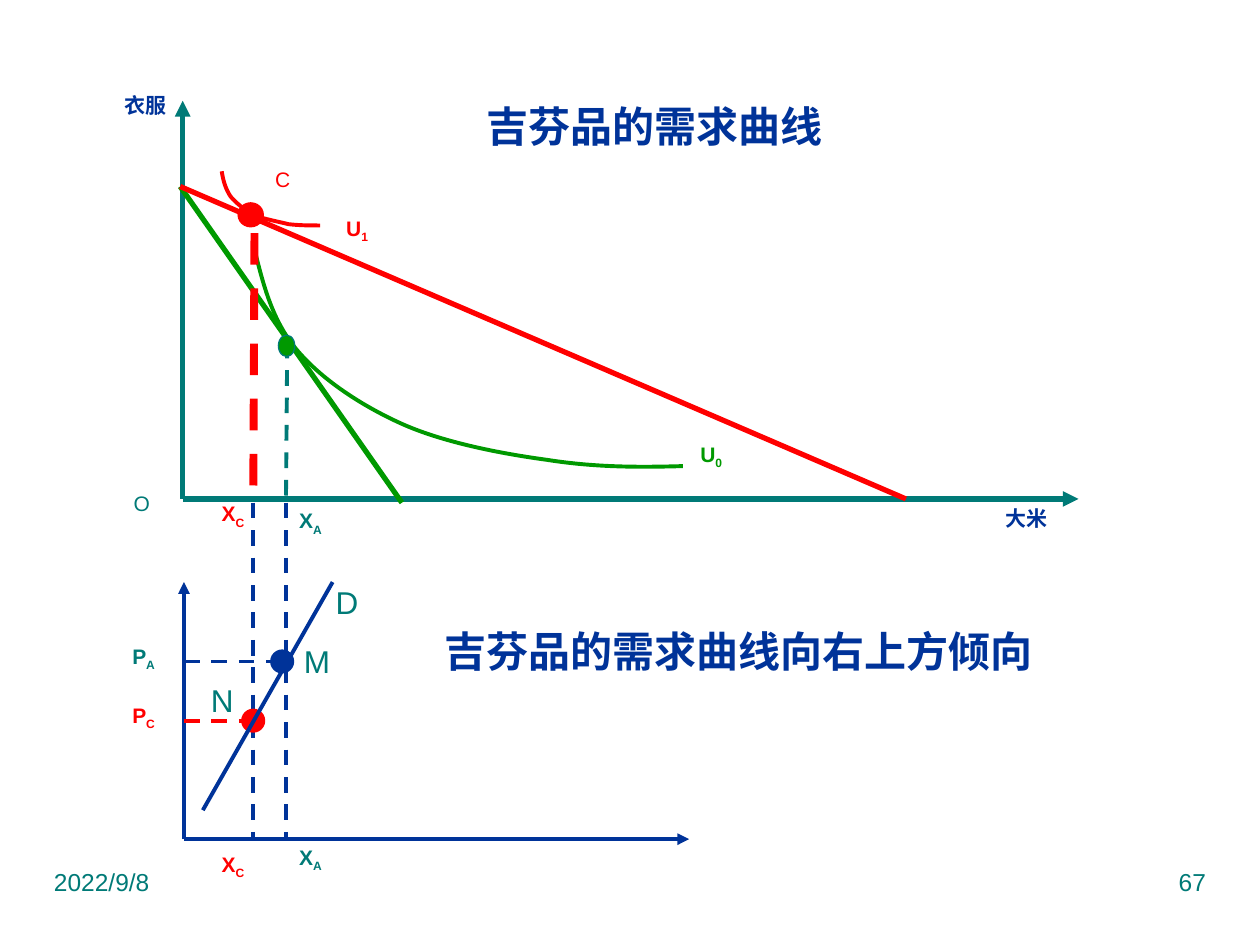
import pptx
import pptx.util
import pptx.dml.color
import pptx.enum.dml
import pptx.enum.shapes
import pptx.enum.text
import pptx.oxml
import pptx.oxml.ns
from pptx.util import Inches

RGBColor = pptx.dml.color.RGBColor
TEAL = RGBColor(0x00, 0x7A, 0x77)
NAVY = RGBColor(0x00, 0x33, 0x99)
GREEN = RGBColor(0x00, 0x99, 0x00)
RED = RGBColor(0xFF, 0x00, 0x00)
FONT = "Arial"
ALIGN = pptx.enum.text.PP_ALIGN
ANCHOR = pptx.enum.text.MSO_ANCHOR
qn = pptx.oxml.ns.qn

X_C, X_A = 2.01, 2.27
TOP_AXIS_X, TOP_AXIS_Y = 1.45, 3.96
LOW_AXIS_X, LOW_AXIS_Y = 1.46, 6.66
P_A, P_C = 5.25, 5.72


def write_text(frame, text, subscript="", size=12, color=NAVY, bold=False,
               align=ALIGN.CENTER, anchor=ANCHOR.MIDDLE, wrap=False):
    frame.word_wrap = wrap
    frame.auto_size = pptx.enum.text.MSO_AUTO_SIZE.NONE
    frame.vertical_anchor = anchor
    para = frame.paragraphs[0]
    para.alignment = align
    for part in filter(None, (text, subscript)):
        span = para.add_run()
        span.text = part
        span.font.name = FONT
        span.font.size = pptx.util.Pt(size)
        span.font.bold = bold
        span.font.color.rgb = color
    if subscript:
        span.font._element.set("baseline", "-25000")


class Diagram:
    def __init__(self, page):
        self.page = page
        self.shapes = page.shapes

    def title(self, text, left, top, width, height):
        box = self.shapes.title
        box.left, box.top, box.width, box.height = map(Inches, (left, top, width, height))
        write_text(box.text_frame, text, size=24, bold=True, wrap=True)

    def text(self, text, left, top, width=0.45, height=0.31, **style):
        box = self.shapes.add_textbox(*map(Inches, (left, top, width, height)))
        write_text(box.text_frame, text, **style)

    def line(self, start, end, color, width=2.25, dashed=False, arrow=False):
        connector = self.shapes.add_connector(
            pptx.enum.shapes.MSO_CONNECTOR.STRAIGHT, *map(Inches, (*start, *end)))
        connector.line.color.rgb = color
        connector.line.width = pptx.util.Pt(width)
        if dashed:
            connector.line.dash_style = pptx.enum.dml.MSO_LINE.DASH
        if arrow:
            outline = connector.line._get_or_add_ln()
            outline.append(pptx.oxml.parse_xml(
                f'<a:tailEnd {pptx.oxml.ns.nsdecls("a")} type="triangle"/>'))
        connector._element.spPr.append(pptx.oxml.parse_xml(
            f'<a:effectLst {pptx.oxml.ns.nsdecls("a")}/>'))

    def dot(self, left, top, width, height, fill, outline, outline_width):
        dot = self.shapes.add_shape(
            pptx.enum.shapes.MSO_SHAPE.OVAL, *map(Inches, (left, top, width, height)))
        dot.shadow.inherit = False
        dot.fill.solid()
        dot.fill.fore_color.rgb = fill
        dot.line.color.rgb = outline
        dot.line.width = pptx.util.Pt(outline_width)

    def curve(self, points, color):
        start, *controls = [tuple(map(Inches, point)) for point in points]
        builder = self.shapes.build_freeform(*start)
        builder.add_line_segments(controls, close=False)
        curve = builder.convert_to_shape()
        outline = next(curve._element.iter(qn("a:path")))
        segments = outline.findall(qn("a:lnTo"))
        for first in range(0, len(segments), 3):
            bezier = outline.makeelement(qn("a:cubicBezTo"), {})
            for segment in segments[first:first + 3]:
                bezier.append(segment[0])
                outline.remove(segment)
            outline.append(bezier)
        curve.shadow.inherit = False
        curve.fill.background()
        curve.line.color.rgb = color
        curve.line.width = pptx.util.Pt(2.25)


def draw_footer(diagram):
    for text, left, align in (("2022/9/8", 0.33, ALIGN.LEFT), ("67", 7.17, ALIGN.RIGHT)):
        diagram.text(text, left, 6.83, 2.5, 0.52, size=14, color=TEAL,
                     align=align, anchor=ANCHOR.TOP, wrap=True)


def draw_quantity_labels(diagram, top_a, top_c):
    diagram.text("X", 2.24, top_a, subscript="A", color=TEAL, bold=True)
    diagram.text("X", 1.69, top_c, 0.32, 0.26, subscript="C", color=RED, bold=True)


def draw_indifference_curves(diagram):
    origin = (TOP_AXIS_X, TOP_AXIS_Y)
    diagram.line(origin, (8.56, TOP_AXIS_Y), TEAL, 3, arrow=True)
    diagram.line(origin, (TOP_AXIS_X, 0.8), TEAL, 3, arrow=True)
    diagram.line((1.43, 1.48), (3.19, 3.99), GREEN, 3)
    diagram.line((2.28, 2.72), (X_A, 3.94), TEAL, dashed=True)
    diagram.text("大米", 7.52, 4.02, 1.26, 0.19, bold=True)
    diagram.text("衣服", 0.93, 0.68, bold=True)
    diagram.curve([(2.02, 1.98), (2.09, 2.26), (2.16, 2.54), (2.35, 2.77),
                   (2.54, 3), (2.85, 3.21), (3.18, 3.36),
                   (3.51, 3.51), (3.97, 3.6), (4.34, 3.65),
                   (4.72, 3.71), (5.07, 3.71), (5.42, 3.7)], GREEN)
    diagram.dot(2.21, 2.66, 0.13, 0.17, GREEN, TEAL, 0.75)
    diagram.curve([(1.76, 1.36), (1.77, 1.43), (1.79, 1.5), (1.83, 1.56),
                   (1.88, 1.62), (1.95, 1.67), (2.02, 1.71),
                   (2.1, 1.74), (2.21, 1.76), (2.29, 1.78),
                   (2.38, 1.79), (2.46, 1.79), (2.54, 1.79)], RED)
    diagram.line((1.43, 1.48), (7.19, TOP_AXIS_Y), RED, 3)
    diagram.dot(1.89, 1.61, 0.2, 0.19, RED, RED, 0.75)
    diagram.line((2.02, 1.85), (X_C, 3.99), RED, 4.5, dashed=True)
    diagram.text("C", 2.08, 1.24, 0.33, 0.37, color=RED)
    draw_quantity_labels(diagram, 3.99, 3.96)
    diagram.text("O", 0.9, 3.84, color=TEAL)
    diagram.text("U", 5.42, 3.46, subscript="0", color=GREEN, bold=True)
    diagram.text("U", 2.61, 1.67, subscript="1", color=RED, bold=True)


def draw_demand_curve(diagram):
    origin = (LOW_AXIS_X, LOW_AXIS_Y)
    diagram.line(origin, (5.47, LOW_AXIS_Y), NAVY, arrow=True)
    diagram.line(origin, (LOW_AXIS_X, 4.62), NAVY, arrow=True)
    for quantity in (X_A, X_C):
        diagram.line((quantity, 3.99), (quantity, LOW_AXIS_Y), NAVY, dashed=True)
    draw_quantity_labels(diagram, 6.66, 6.74)
    diagram.line((LOW_AXIS_X, P_A), (2.24, P_A), NAVY, dashed=True)
    diagram.dot(2.16, P_A - 0.08, 0.16, 0.16, NAVY, NAVY, 2.25)
    for subscript, price, color in (("A", P_A, TEAL), ("C", P_C, RED)):
        diagram.text("P", 0.98, price - 0.16, 0.32, 0.26,
                     subscript=subscript, color=color, bold=True)
    diagram.dot(1.93, P_C - 0.08, 0.16, 0.16, RED, RED, 2.25)
    diagram.line((LOW_AXIS_X, P_C), (X_C, P_C), RED, dashed=True)
    diagram.line((1.61, 6.43), (2.64, 4.62), NAVY)
    for name, left, top, width in (("D", 2.56, 4.62, 0.39), ("M", 2.32, 5.09, 0.39),
                                   ("N", 1.61, 5.4, 0.31)):
        diagram.text(name, left, top, width, size=18, color=TEAL)
    diagram.text("吉芬品的需求曲线向右上方倾向", 3.03, 4.85, 5.67, 0.63,
                 size=24, bold=True, wrap=True)


def main():
    deck = pptx.Presentation()
    deck.slide_width, deck.slide_height = Inches(10), Inches(7.5)
    diagram = Diagram(deck.slides.add_slide(deck.slide_layouts[5]))
    diagram.title("吉芬品的需求曲线", 3.11, 0.68, 4.17, 0.63)
    draw_footer(diagram)
    draw_indifference_curves(diagram)
    draw_demand_curve(diagram)
    deck.save("out.pptx")


if __name__ == "__main__":
    main()
